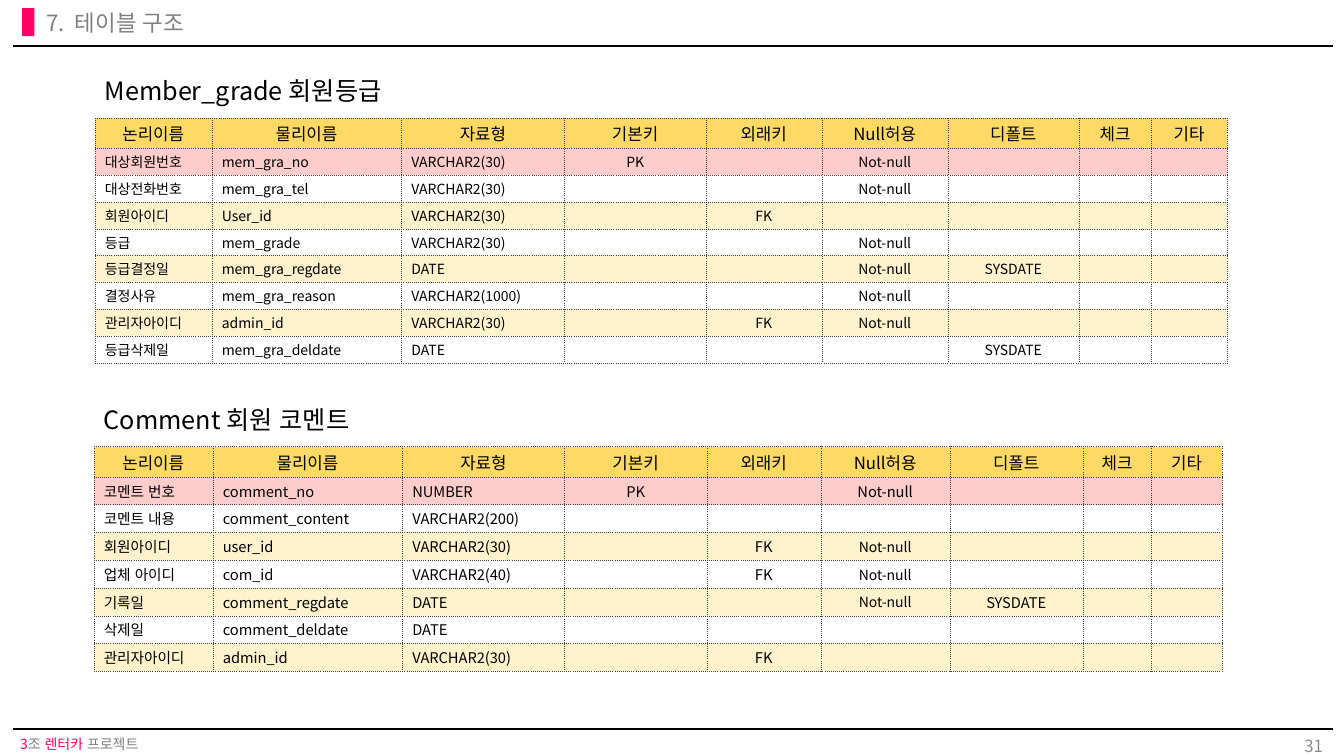
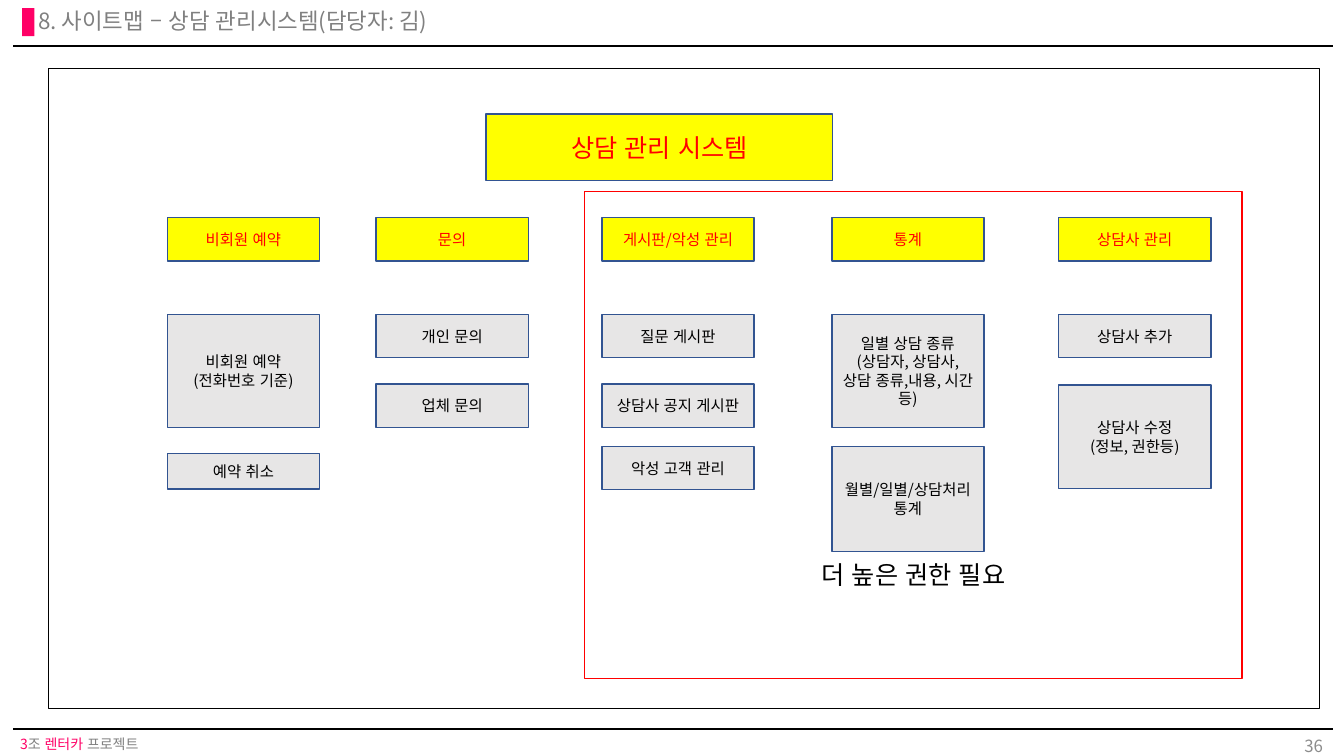
from lxml.etree import SubElement
from pptx import Presentation
from pptx.dml.color import RGBColor
from pptx.enum.lang import MSO_LANGUAGE_ID as LANG
from pptx.enum.shapes import MSO_CONNECTOR as CONN, MSO_SHAPE as SHAPE
from pptx.enum.text import MSO_ANCHOR as ANCHOR, MSO_AUTO_SIZE as AUTO, PP_ALIGN as ALIGN
from pptx.oxml import parse_xml
from pptx.oxml.ns import nsdecls, qn
from pptx.util import Inches, Pt

FONT = "Noto Sans CJK KR"
BLACK = RGBColor(0x00, 0x00, 0x00)
GRAY = RGBColor(0x80, 0x80, 0x80)
PAGE_GRAY = RGBColor(0x8C, 0x8C, 0x8C)
PINK = RGBColor(0xFF, 0x00, 0x66)
RED = RGBColor(0xFF, 0x00, 0x00)
YELLOW = RGBColor(0xFF, 0xFF, 0x00)
BOX_GRAY = RGBColor(0xE7, 0xE6, 0xE6)
BOX_LINE = RGBColor(0x32, 0x54, 0x91)
HEAD_FILL = RGBColor(0xFF, 0xD9, 0x66)
KEY_FILL = RGBColor(0xFF, 0xCC, 0xCC)
BAND_FILL = RGBColor(0xFF, 0xF2, 0xCC)

SLIDE_W, SLIDE_H = 13.33, 7.5
HEADER = ["논리이름", "물리이름", "자료형", "기본키", "외래키", "Null허용", "디폴트", "체크", "기타"]
LEFT_COLS = 3
HEAD_H = 0.3
NN, DATE, VC30 = "Not-null", "DATE", "VARCHAR2(30)"

GRADE_COLS = [1.16, 1.88, 1.62, 1.4, 1.15, 1.25, 1.3, 0.72, 0.75]
GRADE_ROWS = [
    ["대상회원번호", "mem_gra_no", VC30, "PK", "", NN],
    ["대상전화번호", "mem_gra_tel", VC30, "", "", NN],
    ["회원아이디", "User_id", VC30, "", "FK"],
    ["등급", "mem_grade", VC30, "", "", NN],
    ["등급결정일", "mem_gra_regdate", DATE, "", "", NN, "SYSDATE"],
    ["결정사유", "mem_gra_reason", "VARCHAR2(1000)", "", "", NN],
    ["관리자아이디", "admin_id", VC30, "", "FK", NN],
    ["등급삭제일", "mem_gra_deldate", DATE, "", "", "", "SYSDATE"],
]
COMMENT_COLS = [1.18, 1.88, 1.61, 1.41, 1.13, 1.28, 1.32, 0.68, 0.7]
COMMENT_ROWS = [
    ["코멘트 번호", "comment_no", "NUMBER", "PK", "", NN],
    ["코멘트 내용", "comment_content", "VARCHAR2(200)"],
    ["회원아이디", "user_id", VC30, "", "FK", NN],
    ["업체 아이디", "com_id", "VARCHAR2(40)", "", "FK", NN],
    ["기록일", "comment_regdate", DATE, "", "", NN, "SYSDATE"],
    ["삭제일", "comment_deldate", DATE],
    ["관리자아이디", "admin_id", VC30, "", "FK"],
]
SMALL_CELLS = {(3, 5), (4, 5), (5, 5)}

BOX_W, BOX_H = 1.51, 0.43
HEAD_Y, ROW_1, ROW_2, ROW_3 = 2.16, 3.12, 3.81, 4.43
SITEMAP = [
    (1.66, "비회원 예약", [
        (ROW_1, 1.12, ["비회원 예약", "(전화번호 기준)"]),
        (4.5, 0.35, ["예약 취소"])]),
    (3.73, "문의", [
        (ROW_1, BOX_H, ["개인 문의"]),
        (ROW_2, BOX_H, ["업체 문의"])]),
    (5.97, "게시판/악성 관리", [
        (ROW_1, BOX_H, ["질문 게시판"]),
        (ROW_2, BOX_H, ["상담사 공지 게시판"]),
        (ROW_3, BOX_H, ["악성 고객 관리"])]),
    (8.25, "통계", [
        (ROW_1, 1.12, ["일별 상담 종류", "(상담자, 상담사, 상담 종류,내용, 시간 등)"]),
        (ROW_3, 1.04, ["월별/일별/상담처리 통계"])]),
    (10.5, "상담사 관리", [
        (ROW_1, BOX_H, ["상담사 추가"]),
        (3.82, 1.03, ["상담사 수정", "(정보, 권한등)"])]),
]


def place(*lengths):
    """Turn inch lengths into slide units."""
    return [Inches(n) for n in lengths]


def add_run(p, text, size, color):
    """Add one formatted run to a paragraph."""
    r = p.add_run()
    r.text = text
    f = r.font
    f.size, f.bold, f.name, f.language_id = Pt(size), False, FONT, LANG.KOREAN
    f.color.rgb = color
    r._r.rPr.find(qn("a:latin")).addnext(
        parse_xml(f'<a:ea {nsdecls("a")} typeface="{FONT}"/>'))


def add_text(s, box, runs, align=ALIGN.LEFT, anchor=ANCHOR.TOP):
    """Add a one-paragraph text box made of (text, size, colour) runs."""
    tf = s.shapes.add_textbox(*place(*box)).text_frame
    tf.word_wrap, tf.vertical_anchor = True, anchor
    p = tf.paragraphs[0]
    p.alignment = align
    for run in runs:
        add_run(p, *run)
    return tf


def add_box(s, box, fill=None, line=None, lines=(), size=11, color=BLACK):
    """Add a rectangle with centred lines of text."""
    sp = s.shapes.add_shape(SHAPE.RECTANGLE, *place(*box))
    sp.shadow.inherit = False
    if fill is None:
        sp.fill.background()
    else:
        sp.fill.solid()
        sp.fill.fore_color.rgb = fill
    if line is None:
        sp.line.fill.background()
    else:
        sp.line.color.rgb, sp.line.width = line, Pt(1)
    tf = sp.text_frame
    tf.word_wrap, tf.vertical_anchor = True, ANCHOR.MIDDLE
    for i, text in enumerate(lines):
        p = tf.add_paragraph() if i else tf.paragraphs[0]
        p.alignment = ALIGN.CENTER
        add_run(p, text, size, color)
    return sp


def add_rule(s, y):
    """Add a black rule across the slide."""
    ln = s.shapes.add_connector(CONN.STRAIGHT, *place(0.13, y, 13.22, y))
    ln.line.color.rgb, ln.line.width = BLACK, Pt(1.5)
    SubElement(ln._element.spPr, qn("a:effectLst"))


def build_layout(prs, layout):
    """Put the rules, the marker and the footer on the title-only layout."""
    for ph in list(layout.placeholders)[1:]:
        ph.element.getparent().remove(ph.element)
    s = prs.slides[0]
    own = set(s.shapes.element)
    for y in (0.46, 7.23):
        add_rule(s, y)
    tf = add_text(s, (0.13, 7.28, 3.08, 0.23), [
        ("3", 10, PINK), ("조 ", 10, GRAY), ("렌터카", 10, PINK), (" 프로젝트", 10, GRAY)])
    tf.margin_left = tf.margin_right = Inches(0.07)
    tf.margin_top = tf.margin_bottom = Inches(0.04)
    tf.paragraphs[0].line_spacing = 0.9
    add_box(s, (0.22, 0.08, 0.12, 0.28), PINK)
    for el in list(s.shapes.element):
        if el not in own:
            layout.shapes.element.append(el)


def add_title(s, box, text, page):
    """Fill the title placeholder and add the page number."""
    sp = s.shapes.title
    sp.left, sp.top, sp.width, sp.height = place(*box)
    tf = sp.text_frame
    tf.word_wrap, tf.auto_size, tf.vertical_anchor = True, AUTO.NONE, ANCHOR.TOP
    p = tf.paragraphs[0]
    p.alignment, p.line_spacing = ALIGN.LEFT, 0.9
    add_run(p, text, 16, GRAY)
    add_text(s, (12.58, 7.22, 0.64, 0.35), [(page, 12, PAGE_GRAY)], ALIGN.RIGHT, ANCHOR.MIDDLE)


def row_fill(i):
    """Choose the fill of a table row by its index."""
    if i < 2:
        return (HEAD_FILL, KEY_FILL)[i]
    return BAND_FILL if i % 2 else None


def format_cell(cell, text, size, align, fill):
    """Write a cell with dotted borders and tight margins."""
    cell.margin_top = cell.margin_bottom = Inches(0.03)
    cell.vertical_anchor = ANCHOR.MIDDLE
    p = cell.text_frame.paragraphs[0]
    p.alignment = align
    if text:
        add_run(p, text, size, BLACK)
    else:
        SubElement(p._p, qn("a:endParaRPr"), sz=str(int(size * 100)))
    tcPr = cell._tc.get_or_add_tcPr()
    for i, side in enumerate("LRTB"):
        tcPr.insert(i, parse_xml(
            f'<a:ln{side} {nsdecls("a")} w="3175"><a:solidFill><a:srgbClr val="404040"/>'
            f'</a:solidFill><a:prstDash val="sysDot"/></a:ln{side}>'))
    if fill is None:
        cell.fill.background()
    else:
        cell.fill.solid()
        cell.fill.fore_color.rgb = fill


def add_schema(s, left, top, height, name, cols, rows, size, small=()):
    """Add a heading and the table of columns below it."""
    add_text(s, (left, top - 0.47, 4.65, 0.4), [(name, 18, BLACK)])
    data = [HEADER] + rows
    tbl = s.shapes.add_table(
        len(data), len(cols), *place(left, top, sum(cols), height)).table
    tbl.first_row = tbl.horz_banding = False
    for col, width in zip(tbl.columns, cols):
        col.width = Inches(width)
    for i, row in enumerate(data):
        tbl.rows[i].height = Inches((height - HEAD_H) / len(rows) if i else HEAD_H)
        for j in range(len(cols)):
            text = row[j] if j < len(row) else ""
            cell_size = 10 if (i, j) in small else size if i else 12
            align = ALIGN.LEFT if i and j < LEFT_COLS else ALIGN.CENTER
            format_cell(tbl.cell(i, j), text, cell_size, align, row_fill(i))


def build_tables(s):
    """Build the table structure slide."""
    add_title(s, (0.36, 0.07, 4.39, 0.35), "7.  테이블 구조", "31")
    add_schema(s, 0.94, 1.17, 2.43, "Member_grade 회원등급", GRADE_COLS, GRADE_ROWS, 10)
    add_schema(s, 0.93, 4.43, 2.23, "Comment 회원 코멘트", COMMENT_COLS, COMMENT_ROWS, 10.5,
               SMALL_CELLS)


def build_sitemap(s):
    """Build the site map slide."""
    add_title(s, (0.28, 0.05, 5.75, 0.35), "8. 사이트맵 – 상담 관리시스템(담당자: 김)", "36")
    add_box(s, (0.48, 0.68, 12.61, 6.35), line=BLACK)
    tf = add_box(s, (5.8, 1.9, 6.52, 4.83), line=RED, lines=["더 높은 권한 필요"],
                 size=18).text_frame
    tf.vertical_anchor, tf.margin_bottom = ANCHOR.BOTTOM, Inches(0.88)
    add_box(s, (4.82, 1.13, 3.44, 0.66), YELLOW, BOX_LINE, ["상담 관리 시스템"], 18, RED)
    for x, head, items in SITEMAP:
        add_box(s, (x, HEAD_Y, BOX_W, BOX_H), YELLOW, BOX_LINE, [head], color=RED)
        for y, h, lines in items:
            add_box(s, (x, y, BOX_W, h), BOX_GRAY, BOX_LINE, lines)


def main():
    """Build and save the presentation."""
    prs = Presentation()
    prs.slide_width, prs.slide_height = place(SLIDE_W, SLIDE_H)
    layout = prs.slide_layouts[5]
    tables, sitemap = [prs.slides.add_slide(layout) for _ in range(2)]
    build_layout(prs, layout)
    build_tables(tables)
    build_sitemap(sitemap)
    prs.save("out.pptx")


if __name__ == "__main__":
    main()
